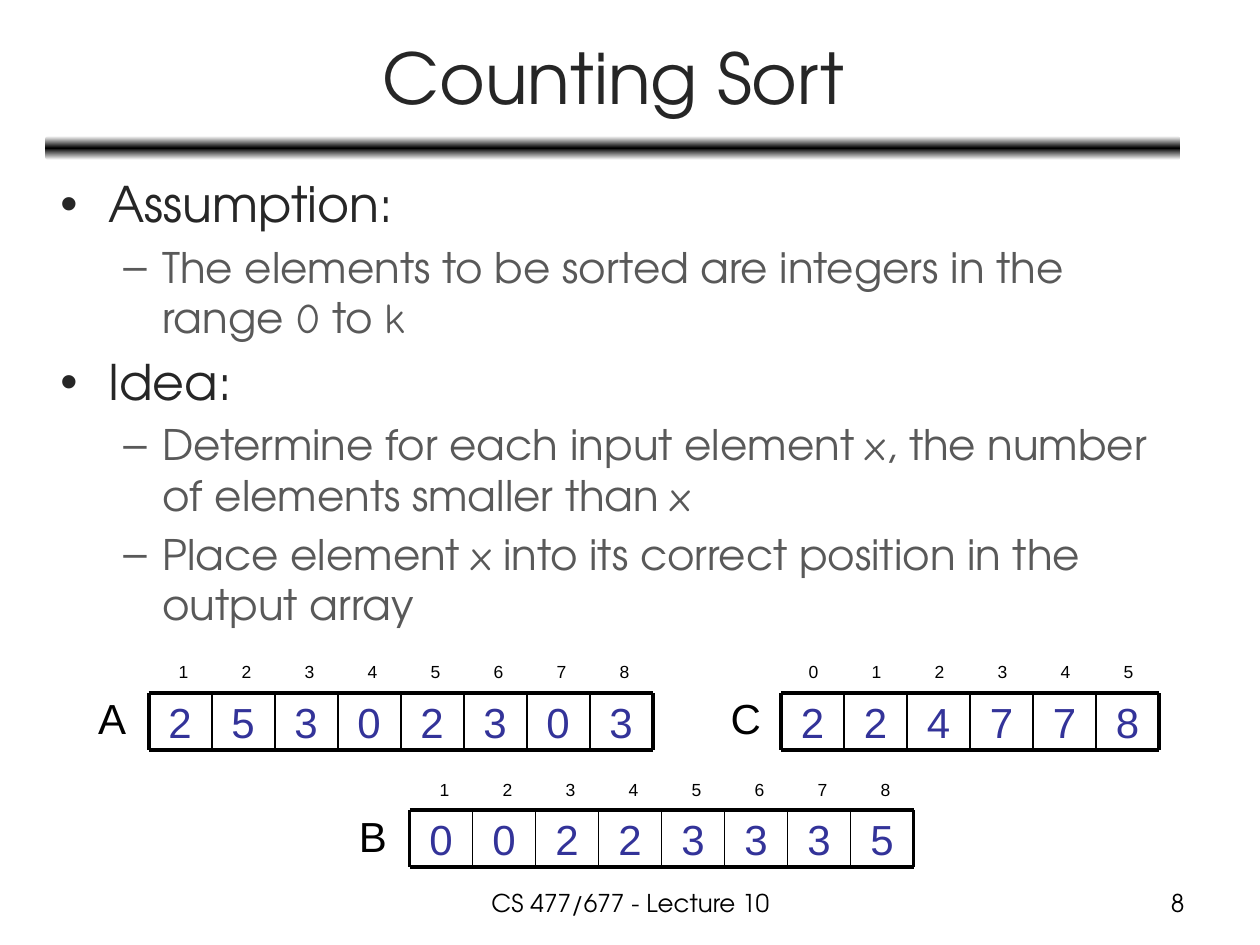
"""Build the Counting Sort slide with its three example arrays."""
from typing import Any, NamedTuple

from lxml import etree
from pptx import Presentation
from pptx.dml.color import RGBColor
from pptx.enum.shapes import MSO_CONNECTOR, MSO_SHAPE
from pptx.enum.text import MSO_ANCHOR, MSO_AUTO_SIZE, PP_ALIGN
from pptx.oxml import parse_xml
from pptx.oxml.ns import nsdecls, qn
from pptx.util import Inches, Pt

LEFT, CENTER, RIGHT = PP_ALIGN.LEFT, PP_ALIGN.CENTER, PP_ALIGN.RIGHT
TOP, MIDDLE = MSO_ANCHOR.TOP, MSO_ANCHOR.MIDDLE
NO_AUTOFIT = MSO_AUTO_SIZE.NONE
STRAIGHT = MSO_CONNECTOR.STRAIGHT
ROUNDED = MSO_SHAPE.ROUNDED_RECTANGLE

BLACK = RGBColor(0x00, 0x00, 0x00)
WHITE = RGBColor(0xFF, 0xFF, 0xFF)
HEADING = RGBColor(0x26, 0x26, 0x26)
DETAIL = RGBColor(0x59, 0x59, 0x59)
VALUE = RGBColor(0x33, 0x33, 0x99)

SANS, MAIN, SYMBOL = "Arial", "TeX Gyre Adventor", "Comic Neue"
CELL_WIDTH, CELL_HEIGHT = 0.5, 0.45
THICK, THIN = 2.25, 1


class Box(NamedTuple):
    left: float
    top: float
    width: float
    height: float


class TextStyle(NamedTuple):
    font: str
    size: int
    color: RGBColor
    align: Any = LEFT
    anchor: Any = TOP
    wrap: bool = True


class Bullet(NamedTuple):
    level: int
    pieces: tuple[str, ...]


class ArrayRow(NamedTuple):
    name: str
    left: float
    top: float
    first_index: int
    index_offset: float
    values: tuple[int, ...]


class Level(NamedTuple):
    size: int
    color: RGBColor
    margin: float
    indent: float


FOOTER = TextStyle(MAIN, 14, BLACK, CENTER)
PAGE_NUMBER = FOOTER._replace(align=RIGHT)
TITLE = TextStyle(MAIN, 40, HEADING, CENTER, MIDDLE)
CELL = TextStyle(SANS, 24, VALUE, CENTER, MIDDLE)
INDEX = TextStyle(SANS, 10, BLACK)
ARRAY_NAME = TextStyle(SANS, 24, BLACK, wrap=False)

LEVELS = (Level(28, HEADING, 0.38, -0.38), Level(24, DETAIL, 0.81, -0.31))

BULLETS = (
    Bullet(0, ("Assumption:",)),
    Bullet(1, ("The elements to be sorted are integers in the range ", "0", " to ", "k")),
    Bullet(0, ("Idea:",)),
    Bullet(1, ("Determine for each input element ", "x",
               ", the number of elements smaller than ", "x")),
    Bullet(1, ("Place element ", "x", " into its correct position in the output array")),
)

ARRAYS = (
    ArrayRow("A", 1.18, 5.5, 1, 0.14, (2, 5, 3, 0, 2, 3, 0, 3)),
    ArrayRow("C", 6.2, 5.5, 0, 0.12, (2, 2, 4, 7, 7, 8)),
    ArrayRow("B", 3.25, 6.43, 1, 0.14, (0, 0, 2, 2, 3, 3, 3, 5)),
)


def apply(target: Any, values: dict[str, Any]) -> None:
    for attribute, value in values.items():
        setattr(target, attribute, value)


def place(shape: Any, box: Box) -> None:
    apply(shape, {side: Inches(length) for side, length in box._asdict().items()})


def format_font(font: Any, name: str, size: int, color: RGBColor) -> None:
    apply(font, {"name": name, "size": Pt(size)})
    font.color.rgb = color


def write(shape: Any, text: str, style: TextStyle) -> None:
    frame = shape.text_frame
    apply(frame, {"text": text, "word_wrap": style.wrap,
                  "auto_size": NO_AUTOFIT, "vertical_anchor": style.anchor})
    paragraph = frame.paragraphs[0]
    paragraph.alignment = style.align
    format_font(paragraph.runs[0].font, style.font, style.size, style.color)


def add_text(shapes: Any, box: Box, text: str, style: TextStyle) -> None:
    write(shapes.add_textbox(*map(Inches, box)), text, style)


def add_line(shapes: Any, x1: float, y1: float, x2: float, y2: float, width: float) -> None:
    line = shapes.add_connector(STRAIGHT, *map(Inches, (x1, y1, x2, y2)))
    line.line.color.rgb = BLACK
    line.line.width = Pt(width)
    etree.SubElement(line._element.spPr, qn("a:effectLst"))


def add_rule(shapes: Any, box: Box) -> None:
    rule = shapes.add_shape(ROUNDED, *map(Inches, box))
    rule.shadow.inherit = False
    rule.line.fill.background()
    rule.fill.background()
    stops = "".join(
        f'<a:gs pos="{position}"><a:srgbClr val="{color}"/></a:gs>'
        for position, color in ((0, WHITE), (50000, BLACK), (100000, WHITE)))
    gradient = parse_xml(
        f'<a:gradFill {nsdecls("a")} rotWithShape="1"><a:gsLst>{stops}</a:gsLst>'
        '<a:lin ang="5400000" scaled="0"/></a:gradFill>')
    properties = rule._element.spPr
    properties.replace(properties.find(qn("a:noFill")), gradient)


def fill_body(body: Any, bullets: tuple[Bullet, ...]) -> None:
    frame = body.text_frame
    apply(frame, {"word_wrap": True, "auto_size": NO_AUTOFIT, "vertical_anchor": TOP})
    for number, bullet in enumerate(bullets):
        paragraph = frame.add_paragraph() if number else frame.paragraphs[0]
        paragraph.level = bullet.level
        if number == 0:
            paragraph.space_before = Pt(0)
        level = LEVELS[bullet.level]
        properties = paragraph._p.get_or_add_pPr()
        properties.set("marL", str(Inches(level.margin)))
        properties.set("indent", str(Inches(level.indent)))
        for position, piece in enumerate(bullet.pieces):
            run = paragraph.add_run()
            run.text = piece
            format_font(run.font, SYMBOL if position % 2 else MAIN, level.size, level.color)


def add_array(slide: Any, row: ArrayRow) -> None:
    shapes = slide.shapes.add_group_shape().shapes
    count = len(row.values)
    right, bottom = row.left + count * CELL_WIDTH, row.top + CELL_HEIGHT
    for position, value in enumerate(row.values):
        x = row.left + position * CELL_WIDTH
        add_text(shapes, Box(x, row.top, CELL_WIDTH, CELL_HEIGHT), str(value), CELL)
        add_text(shapes, Box(x + row.index_offset, row.top - 0.3, 0.21, 0.27),
                 str(row.first_index + position), INDEX)
    for y in (row.top, bottom):
        add_line(shapes, row.left, y, right, y, THICK)
    for edge in range(count + 1):
        x = row.left + edge * CELL_WIDTH
        add_line(shapes, x, row.top, x, bottom, THICK if edge in (0, count) else THIN)
    add_text(shapes, Box(row.left - 0.5, row.top - 0.05, 0.42, 0.5), row.name, ARRAY_NAME)


def main() -> None:
    deck = Presentation()
    apply(deck, {"slide_width": Inches(10), "slide_height": Inches(7.5)})
    slide = deck.slides.add_slide(deck.slide_layouts[1])
    title, body = slide.placeholders
    add_rule(slide.shapes, Box(0.36, 1.08, 9.01, 0.19))
    add_text(slide.shapes, Box(3.42, 7, 3.17, 0.35), "CS 477/677 - Lecture 10", FOOTER)
    add_text(slide.shapes, Box(7.17, 7, 2.33, 0.35), "8", PAGE_NUMBER)
    place(title, Box(0.37, 0.11, 9, 0.99))
    write(title, "Counting Sort", TITLE)
    place(body, Box(0.38, 1.33, 9, 5.55))
    fill_body(body, BULLETS)
    for row in ARRAYS:
        add_array(slide, row)
    deck.save("out.pptx")


if __name__ == "__main__":
    main()
